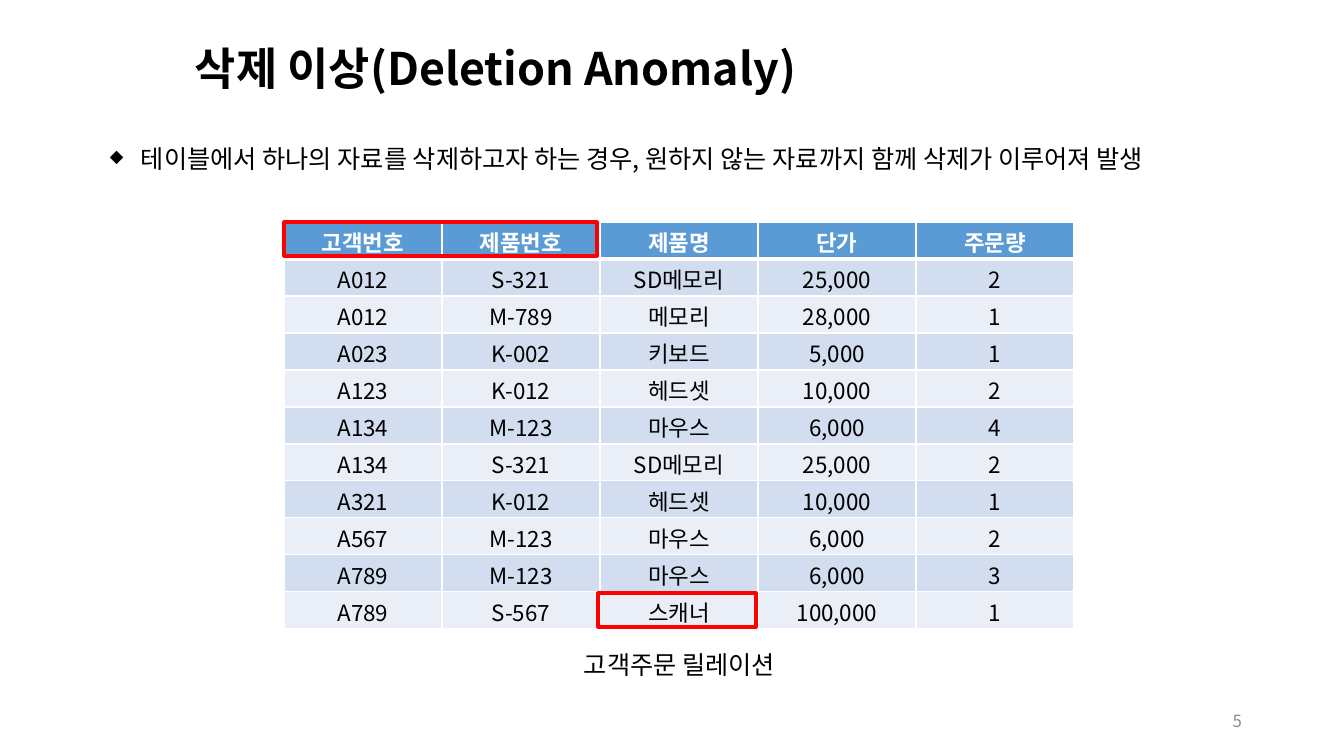
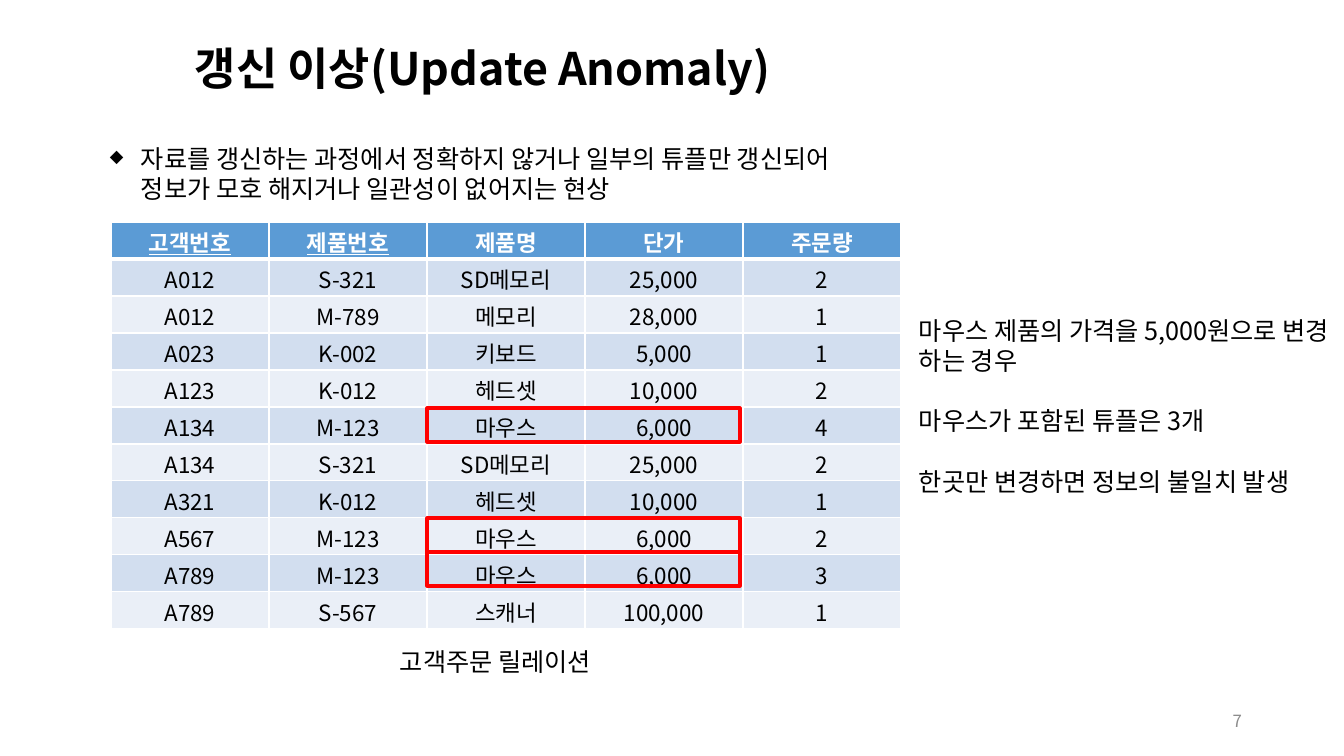
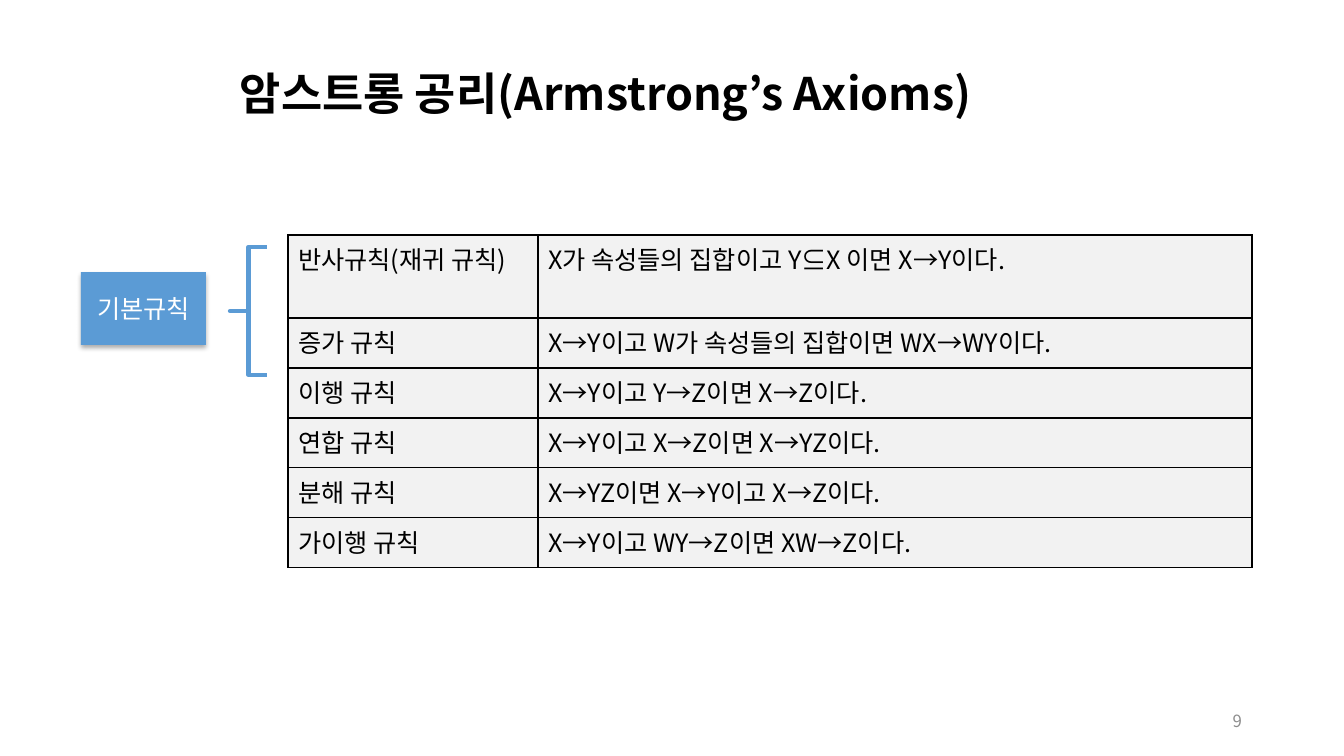
from lxml.etree import SubElement
from pptx import Presentation
from pptx.dml.color import RGBColor
from pptx.enum.shapes import MSO_SHAPE
from pptx.enum.text import MSO_ANCHOR, PP_ALIGN
from pptx.oxml import parse_xml
from pptx.oxml.ns import nsdecls, qn
from pptx.util import Emu, Pt

# Shared scale, font and colours
PX = 12192000 / 1344
FONT = "Noto Sans CJK KR"
BLACK = RGBColor(0x00, 0x00, 0x00)
WHITE = RGBColor(0xFF, 0xFF, 0xFF)
RED = RGBColor(0xFF, 0x00, 0x00)
GRAY = RGBColor(0x8C, 0x8C, 0x8C)
BLUE = RGBColor(0x5B, 0x9B, 0xD5)
BAND_DARK = RGBColor(0xD2, 0xDE, 0xEF)
BAND_LIGHT = RGBColor(0xEA, 0xEF, 0xF7)
PALE = RGBColor(0xF2, 0xF2, 0xF2)

# Wording and places
CAPTION = "고객주문 릴레이션"
HEADER = ["고객번호", "제품번호", "제품명", "단가", "주문량"]
ORDERS = [
    ["A012", "S-321", "SD메모리", "25,000", "2"],
    ["A012", "M-789", "메모리", "28,000", "1"],
    ["A023", "K-002", "키보드", "5,000", "1"],
    ["A123", "K-012", "헤드셋", "10,000", "2"],
    ["A134", "M-123", "마우스", "6,000", "4"],
    ["A134", "S-321", "SD메모리", "25,000", "2"],
    ["A321", "K-012", "헤드셋", "10,000", "1"],
    ["A567", "M-123", "마우스", "6,000", "2"],
    ["A789", "M-123", "마우스", "6,000", "3"],
    ["A789", "S-567", "스캐너", "100,000", "1"],
]
RULES = [
    ["반사규칙(재귀 규칙)", "X가 속성들의 집합이고 Y⊆X 이면 X→Y이다."],
    ["증가 규칙", "X→Y이고 W가 속성들의 집합이면 WX→WY이다."],
    ["이행 규칙", "X→Y이고 Y→Z이면 X→Z이다."],
    ["연합 규칙", "X→Y이고 X→Z이면 X→YZ이다."],
    ["분해 규칙", "X→YZ이면 X→Y이고 X→Z이다."],
    ["가이행 규칙", "X→Y이고 WY→Z이면 XW→Z이다."],
]
NOTES = [
    "마우스 제품의 가격을 5,000원으로 변경 하는 경우",
    "마우스가 포함된 튜플은 3개",
    "한곳만 변경하면 정보의 불일치 발생",
]
ANOMALIES = [
    {
        "title": "삭제 이상(Deletion Anomaly)",
        "page": "5",
        "bullet": "테이블에서 하나의 자료를 삭제하고자 하는 경우, 원하지 않는 자료까지 함께 삭제가 이루어져 발생",
        "table_left": 284,
        "caption": (574, 644),
        "marks": [(284, 222, 313, 34), (598, 593, 158, 34)],
        "notes": [],
    },
    {
        "title": "갱신 이상(Update Anomaly)",
        "page": "7",
        "bullet": "자료를 갱신하는 과정에서 정확하지 않거나 일부의 튜플만 갱신되어\v정보가 모호 해지거나 일관성이 없어지는 현상",
        "table_left": 111,
        "caption": (390, 641),
        "marks": [(427, top, 313, 34) for top in (408, 552, 518)],
        "notes": NOTES,
    },
]


def px(*lengths):
    return [Emu(round(length * PX)) for length in lengths]


def write(frame, lines, size=18, color=BLACK, bold=False, align=PP_ALIGN.LEFT,
          spacing=Pt(21.6), gap=0):
    frame.word_wrap = True
    frame.text = "\n".join(lines)
    for index, paragraph in enumerate(frame.paragraphs):
        paragraph.alignment = align
        paragraph.line_spacing = spacing
        paragraph.space_before = Pt(gap if index else 0)
        paragraph.font.name = FONT
        paragraph.font.size = Pt(size)
        paragraph.font.bold = bold
        paragraph.font.color.rgb = color
        properties = paragraph._p.pPr.find(qn("a:defRPr"))
        SubElement(properties, qn("a:ea"), typeface=FONT)


presentation = Presentation()
presentation.slide_width, presentation.slide_height = px(1344, 756)
blank = presentation.slide_layouts[6]
tables = []

# Anomaly slides
for anomaly in ANOMALIES:
    slide = presentation.slides.add_slide(blank)
    bullet = slide.shapes.add_textbox(*px(100, 138, 1177, 40)).text_frame
    write(bullet, [anomaly["bullet"]])
    properties = bullet.paragraphs[0]._p.pPr
    indent = px(31)[0]
    properties.set("marL", str(indent))
    properties.set("indent", str(-indent))
    defaults = properties.find(qn("a:defRPr"))
    for tag, value in (("buSzPct", 'val="70000"'), ("buChar", 'char="◆"')):
        defaults.addprevious(parse_xml(f'<a:{tag} {nsdecls("a")} {value}/>'))

    # Order table
    table = slide.shapes.add_table(
        len(ORDERS) + 1, len(HEADER), *px(anomaly["table_left"], 222, 790, 407)).table
    for column in table.columns:
        column.width = px(158)[0]
    for row_index, values in enumerate([HEADER] + ORDERS):
        is_header = row_index == 0
        band = BLUE if is_header else BAND_DARK if row_index % 2 else BAND_LIGHT
        table.rows[row_index].height = px(37)[0]
        for column_index, value in enumerate(values):
            cell = table.cell(row_index, column_index)
            cell.margin_top, cell.margin_bottom = px(9, 1)
            write(cell.text_frame, [value], 16, WHITE if is_header else BLACK,
                  is_header, PP_ALIGN.CENTER, Pt(19.2))
            if is_header and column_index < 2:
                cell.text_frame.paragraphs[0].font.underline = True
            tables.append((cell, band, WHITE, 3 if is_header else 1, 3 if row_index == 1 else 1))

    # Side notes, red marks and caption
    if anomaly["notes"]:
        notes = slide.shapes.add_textbox(*px(909, 310, 435, 194))
        write(notes.text_frame, anomaly["notes"], gap=21.6)
    for box in anomaly["marks"]:
        mark = slide.shapes.add_shape(MSO_SHAPE.RECTANGLE, *px(*box))
        mark.shadow.inherit = False
        mark.fill.background()
        mark.line.color.rgb = RED
        mark.line.width = Pt(2.25)
    caption = slide.shapes.add_textbox(*px(*anomaly["caption"], 269, 40))
    write(caption.text_frame, [CAPTION])

# Axiom slide: rule table
slide = presentation.slides.add_slide(blank)
table = slide.shapes.add_table(len(RULES), 2, *px(288, 235, 964, 333)).table
table.columns[0].width, table.columns[1].width = px(250, 714)
for row_index, values in enumerate(RULES):
    table.rows[row_index].height = px(50 if row_index else 83)[0]
    for column_index, value in enumerate(values):
        cell = table.cell(row_index, column_index)
        write(cell.text_frame, [value], spacing=Pt(26))
        tables.append((cell, PALE, BLACK, 1, 1))

# Axiom slide: basic rules label and brace
brace = slide.shapes.add_shape(MSO_SHAPE.LEFT_BRACE, *px(230, 247, 37, 128))
brace.adjustments[0] = 0
brace.adjustments[1] = 0.5
brace.shadow.inherit = False
brace.fill.background()
brace.line.color.rgb = BLUE
brace.line.width = Pt(3)
label = slide.shapes.add_shape(MSO_SHAPE.RECTANGLE, *px(81, 272, 125, 73))
label.shadow.inherit = False
label.fill.solid()
label.fill.fore_color.rgb = BLUE
label.line.fill.background()
label.text_frame.vertical_anchor = MSO_ANCHOR.MIDDLE
write(label.text_frame, ["기본규칙"], color=WHITE, align=PP_ALIGN.CENTER)
label._element.spPr.find(qn("a:effectLst")).append(parse_xml(
    f'<a:outerShdw {nsdecls("a")} blurRad="{Pt(3.5)}" dist="{Pt(2.2)}" dir="5400000">'
    '<a:srgbClr val="000000"><a:alpha val="32000"/></a:srgbClr></a:outerShdw>'))

# Cell borders and fills
for cell, fill, border, bottom, top in tables:
    properties = cell._tc.get_or_add_tcPr()
    for side, width in (("L", 1), ("R", 1), ("T", top), ("B", bottom)):
        properties.append(parse_xml(
            f'<a:ln{side} {nsdecls("a")} w="{Pt(width)}"><a:solidFill>'
            f'<a:srgbClr val="{border}"/></a:solidFill></a:ln{side}>'))
    cell.fill.solid()
    cell.fill.fore_color.rgb = fill

# Titles and page numbers
headings = [(anomaly["title"], 185, 21, anomaly["page"]) for anomaly in ANOMALIES]
headings.append(("암스트롱 공리(Armstrong’s Axioms)", 230, 46, "9"))
for slide, (heading, left, top, page) in zip(presentation.slides, headings):
    title = slide.shapes.add_textbox(*px(left, top, 987, 100)).text_frame
    title.vertical_anchor = MSO_ANCHOR.MIDDLE
    write(title, [heading], 32, bold=True, spacing=0.9)
    number = slide.shapes.add_textbox(*px(950, 701, 302, 40)).text_frame
    number.vertical_anchor = MSO_ANCHOR.MIDDLE
    write(number, [page], 12, GRAY, align=PP_ALIGN.RIGHT, spacing=1.0)

presentation.save("out.pptx")
